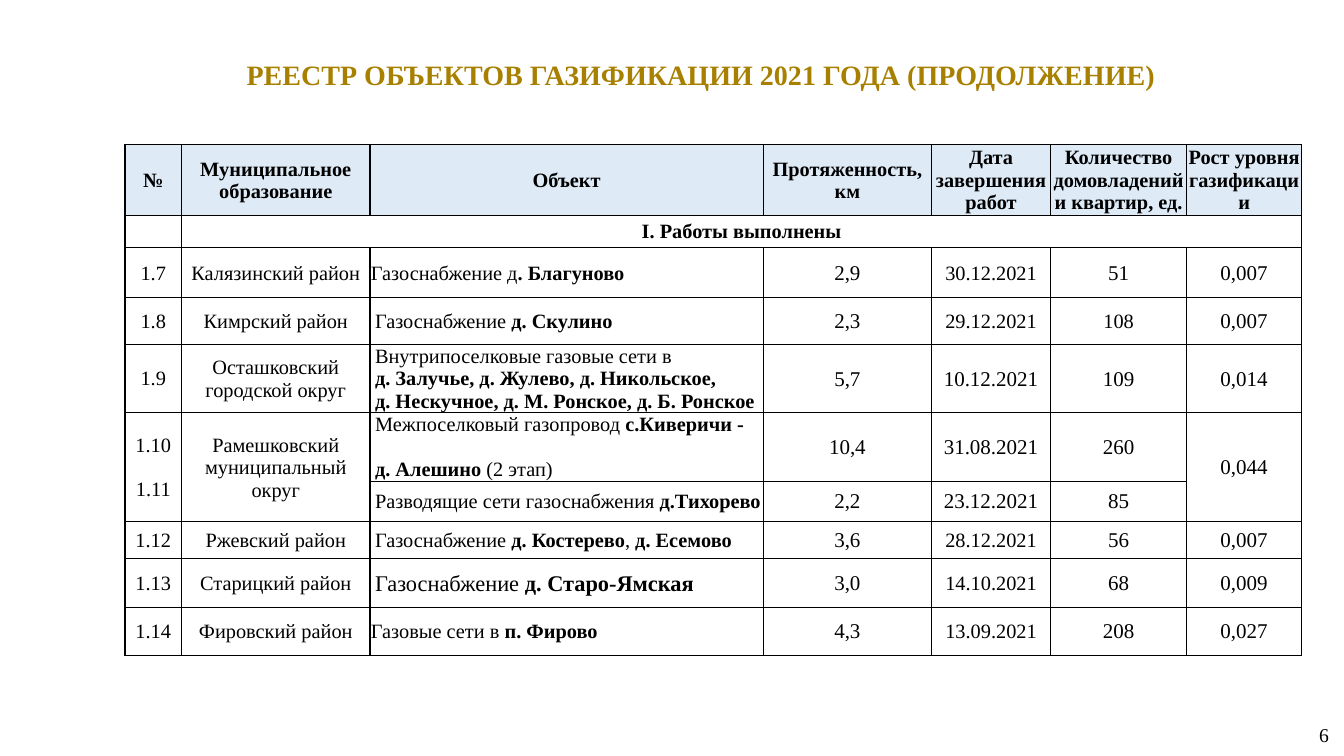
from dataclasses import dataclass

from lxml.etree import SubElement
from pptx import Presentation
from pptx.dml.color import RGBColor
from pptx.enum.text import MSO_ANCHOR as Anchor, PP_ALIGN as Align
from pptx.oxml.ns import qn
from pptx.slide import Slide
from pptx.table import Table, _Cell as Cell
from pptx.text.text import TextFrame, _Paragraph as Paragraph
from pptx.util import Inches, Pt


@dataclass(frozen=True)
class Theme:
    font: str = "Times New Roman"
    black: str = "000000"
    gold: str = "A88000"
    header_fill: str = "DEEBF7"
    title_size: float = 20
    page_size: float = 14
    label_size: float = 14.5
    value_size: float = 15
    large_size: float = 16
    line_gap: float = 16
    border_width: float = 1


THEME = Theme()


@dataclass(frozen=True)
class GasObject:
    """One table row; *asterisks* enclose bold words, newlines part paragraphs."""
    number: str
    district: str
    description: str
    length: str
    date: str
    homes: str
    growth: str
    indent: float = 0.05
    gap: float = 0
    description_size: float = THEME.label_size
    date_size: float = THEME.label_size
    homes_size: float = THEME.value_size


COLUMN_WIDTHS = [0.56, 1.87, 3.9, 1.67, 1.18, 1.35, 1.14]
ROW_HEIGHTS = [0.71, 0.3, 0.5, 0.46, 0.64, 0.52, 0.4, 0.37, 0.48, 0.48]
HEADERS = [
    "№", "Муниципальное образование", "Объект", "Протяженность,\nкм",
    "Дата завершения работ", "Количество домовладений и квартир, ед.",
    "Рост уровня газификации",
]
OBJECTS = [
    GasObject("1.7", "Калязинский район", "Газоснабжение д*. Благуново*",
              "2,9", "30.12.2021", "51", "0,007", indent=0.01),
    GasObject("1.8", "Кимрский район", "Газоснабжение *д. Скулино*",
              "2,3", "29.12.2021", "108", "0,007", homes_size=THEME.label_size),
    GasObject("1.9", "Осташковский городской округ",
              "Внутрипоселковые газовые сети в\n"
              "*д. Залучье, д. Жулево, д. Никольское,*\n"
              "*д. Нескучное, д. М. Ронское, д. Б. Ронское*",
              "5,7", "10.12.2021", "109", "0,014", date_size=THEME.value_size),
    GasObject("1.10\n1.11", "Рамешковский муниципальный округ",
              "Межпоселковый газопровод *с.Киверичи -*\n*д. Алешино* (2 этап)",
              "10,4", "31.08.2021", "260", "0,044",
              gap=THEME.line_gap, date_size=THEME.value_size),
    GasObject("", "", "Разводящие сети газоснабжения *д.Тихорево*",
              "2,2", "23.12.2021", "85", "", date_size=THEME.value_size),
    GasObject("1.12", "Ржевский район",
              "Газоснабжение *д. Костерево*, *д. Есемово*",
              "3,6", "28.12.2021", "56", "0,007"),
    GasObject("1.13", "Старицкий район", "Газоснабжение *д. Старо-Ямская*",
              "3,0", "14.10.2021", "68", "0,009",
              description_size=THEME.large_size),
    GasObject("1.14", "Фировский район", "Газовые сети в *п. Фирово*",
              "4,3", "13.09.2021", "208", "0,027", indent=0.01),
]


def write_paragraph(paragraph: Paragraph, text: str, size: float,
                    color: str, bold: bool) -> None:
    for position, part in enumerate(text.split("*")):
        if part:
            run = paragraph.add_run()
            run.text = part
            run.font.name = THEME.font
            run.font.size = Pt(size)
            run.font.bold = bold or position % 2 == 1
            run.font.color.rgb = RGBColor.from_string(color)


def write_text(frame: TextFrame, text: str, size: float, color: str = THEME.black,
               bold: bool = False, align: Align = Align.CENTER, gap: float = 0) -> None:
    for position, line in enumerate(text.split("\n")):
        paragraph = frame.add_paragraph() if position else frame.paragraphs[0]
        paragraph.alignment = align
        if position and gap:
            paragraph.space_before = Pt(gap)
        write_paragraph(paragraph, line, size, color, bold)


def format_cell(cell: Cell, fill: str = "") -> None:
    cell.vertical_anchor = Anchor.MIDDLE
    cell.margin_left = cell.margin_right = cell.margin_top = Inches(0.01)
    cell.margin_bottom = 0
    # Borders come before the fill in the cell properties
    properties = cell._tc.get_or_add_tcPr()
    for side in ("a:lnL", "a:lnR", "a:lnT", "a:lnB"):
        line = SubElement(properties, qn(side), w=str(Pt(THEME.border_width)))
        solid = SubElement(line, qn("a:solidFill"))
        SubElement(solid, qn("a:srgbClr"), val=THEME.black)
    if fill:
        cell.fill.solid()
        cell.fill.fore_color.rgb = RGBColor.from_string(fill)
    else:
        cell.fill.background()


def fill_row(table: Table, row: int, item: GasObject) -> None:
    centred = {
        0: (item.number, THEME.label_size),
        1: (item.district, THEME.label_size),
        3: (item.length, THEME.value_size),
        4: (item.date, item.date_size),
        5: (item.homes, item.homes_size),
        6: (item.growth, THEME.value_size),
    }
    for column, (text, size) in centred.items():
        if text:
            write_text(table.cell(row, column).text_frame, text, size, gap=item.gap)
    description = table.cell(row, 2)
    description.margin_left = Inches(item.indent)
    description.margin_right = 0
    write_text(description.text_frame, item.description, item.description_size,
               align=Align.LEFT, gap=item.gap)


def add_register(slide: Slide) -> None:
    table = slide.shapes.add_table(
        len(ROW_HEIGHTS), len(COLUMN_WIDTHS), Inches(1.24), Inches(1.43),
        Inches(sum(COLUMN_WIDTHS)), Inches(sum(ROW_HEIGHTS))).table
    table.first_row = table.horz_banding = False
    for column, width in zip(table.columns, COLUMN_WIDTHS):
        column.width = Inches(width)
    for position, (row, height) in enumerate(zip(table.rows, ROW_HEIGHTS)):
        row.height = Inches(height)
        for cell in row.cells:
            format_cell(cell, "" if position else THEME.header_fill)

    # Merged cells: section heading, then the district with two objects
    table.cell(1, 1).merge(table.cell(1, 6))
    for column in (0, 1, 6):
        table.cell(5, column).merge(table.cell(6, column))

    # Headings and rows
    for column, header in enumerate(HEADERS):
        write_text(table.cell(0, column).text_frame, header, THEME.label_size, bold=True)
    write_text(table.cell(1, 1).text_frame, "I. Работы выполнены",
               THEME.label_size, bold=True)
    for row, item in enumerate(OBJECTS, start=2):
        fill_row(table, row, item)


def main() -> None:
    presentation = Presentation()
    presentation.slide_width = Inches(13.33)
    presentation.slide_height = Inches(7.5)
    slide = presentation.slides.add_slide(presentation.slide_layouts[5])

    # Title
    title = slide.shapes.title
    title.left, title.top = Inches(1.38), Inches(0.52)
    title.width, title.height = Inches(11.14), Inches(0.44)
    title.text_frame.word_wrap = True
    title.text_frame.vertical_anchor = Anchor.TOP
    write_text(title.text_frame, "РЕЕСТР ОБЪЕКТОВ ГАЗИФИКАЦИИ 2021 ГОДА (ПРОДОЛЖЕНИЕ)",
               THEME.title_size, THEME.gold, bold=True)

    add_register(slide)

    # Page number
    page = slide.shapes.add_textbox(Inches(10.57), Inches(6.98), Inches(2.71), Inches(0.61))
    page.text_frame.word_wrap = True
    page.text_frame.vertical_anchor = Anchor.MIDDLE
    write_text(page.text_frame, "6", THEME.page_size, align=Align.RIGHT)

    presentation.save("out.pptx")


if __name__ == "__main__":
    main()
